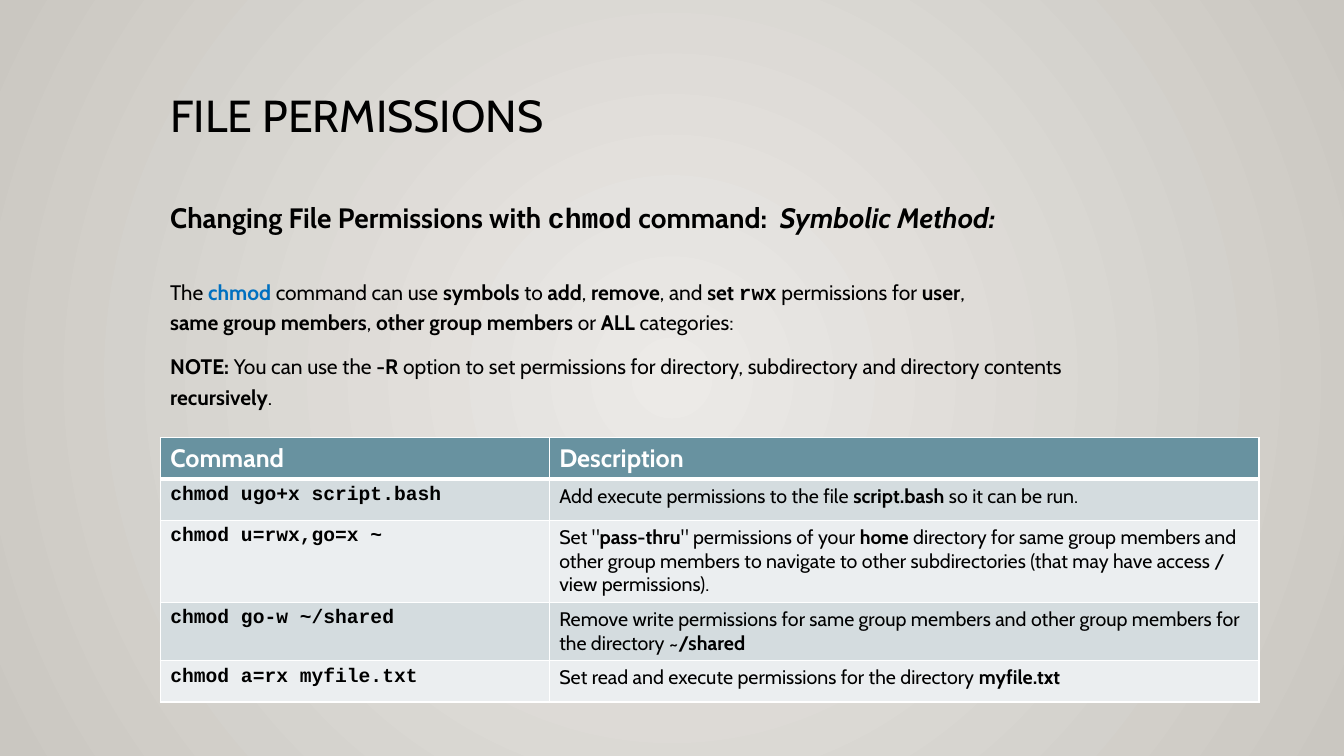
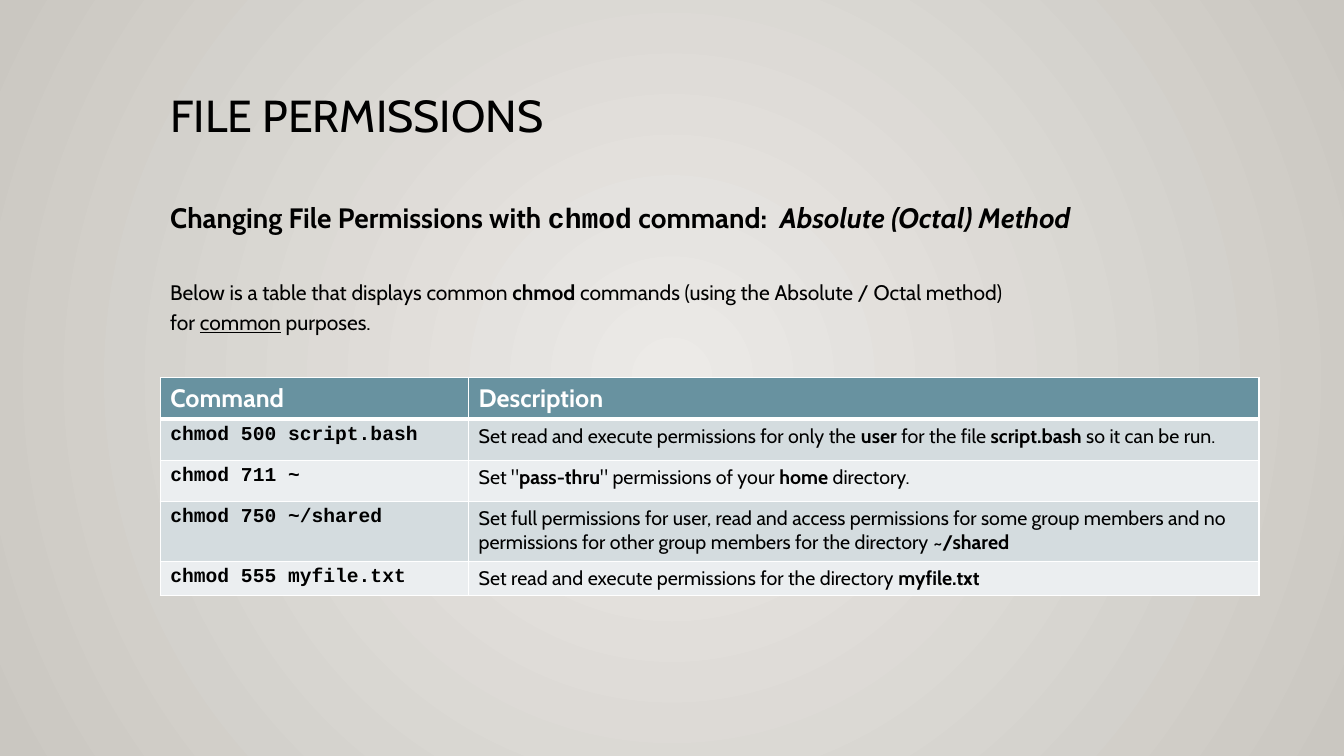
from lxml import etree
from pptx import Presentation
from pptx.dml.color import RGBColor
from pptx.enum.text import MSO_ANCHOR
from pptx.oxml.ns import qn
from pptx.util import Cm, Pt

TOP = MSO_ANCHOR.TOP
BODY_FONT, CODE_FONT = "Cabin", "Courier New"
COLORS = {
    "center": "ECEAE7",
    "edge": "CAC7C1",
    "text": "000000",
    "command": "0070C0",
    "header": "6892A0",
    "odd_row": "D4DCDF",
    "even_row": "EBEEF0",
    "white": "FFFFFF",
}
BLANK_LAYOUT = 6
LEFT = 4.04
TITLE_BOX = (LEFT, 2.24, 26.67, 2.92)
BODY_BOX = (LEFT, 4.75, 25.37, 13.21)
TABLE_WIDTH = 27.69
HEADER_HEIGHT = 1.04


def rgb(name):
    return RGBColor.from_string(COLORS[name])


def bold(text, **style):
    return text, {"bold": True, **style}


def write(paragraph, pieces, line_spacing=None, space_before=None, **base):
    """Fill a paragraph with strings or (text, style) pairs; a newline breaks the line."""
    if line_spacing:
        paragraph.line_spacing = line_spacing
    if space_before:
        paragraph.space_before = Pt(space_before)
    for piece in [pieces] if isinstance(pieces, str) else pieces:
        text, style = (piece, {}) if isinstance(piece, str) else piece
        style = {**base, **style}
        for index, line in enumerate(text.split("\n")):
            if index:
                paragraph.add_line_break()
            if line:
                run = paragraph.add_run()
                run.text = line
                font = run.font
                font.name = style.get("font", BODY_FONT)
                font.size = Pt(style["size"])
                font.bold = style.get("bold", False)
                font.italic = style.get("italic", False)
                font.underline = style.get("underline", False)
                font.color.rgb = rgb(style.get("color", "text"))


def add_text_frame(slide, box):
    frame = slide.shapes.add_textbox(*map(Cm, box)).text_frame
    frame.word_wrap = True
    frame.vertical_anchor = TOP
    return frame


def paint_background(master):
    """Give the master a radial gradient, which every slide inherits."""
    fill = master.background.fill
    fill.gradient()
    for stop, name, position in zip(fill.gradient_stops, ("center", "edge"), (0, 1)):
        stop.color.rgb = rgb(name)
        stop.position = position
    gradient = next(master.element.iter(qn("a:gradFill")))
    gradient.remove(gradient.find(qn("a:lin")))
    radial = etree.SubElement(gradient, qn("a:path"), {"path": "circle"})
    etree.SubElement(radial, qn("a:fillToRect"), dict.fromkeys("ltrb", "50000"))


def add_title(slide, box):
    frame = add_text_frame(slide, box)
    write(frame.paragraphs[0], "FILE PERMISSIONS", size=32, line_spacing=0.9)


def add_body(slide, box, method, paragraphs):
    frame = add_text_frame(slide, box)
    heading = [
        "Changing File Permissions with ",
        bold("chmod", font=CODE_FONT),
        " command:  ",
        bold(method, italic=True),
    ]
    write(frame.paragraphs[0], heading, size=20, bold=True, line_spacing=1.2)
    for index, pieces in enumerate(paragraphs):
        write(frame.add_paragraph(), pieces, size=15, line_spacing=1.2,
              space_before=10 if index else 29)


def style_cell(cell, fill, top, bottom):
    """Set the fill and white borders; top and bottom are line widths in points."""
    properties = cell._tc.get_or_add_tcPr()
    for side, width in (("L", 1), ("R", 1), ("T", top), ("B", bottom)):
        line = etree.SubElement(properties, qn(f"a:ln{side}"), {"w": str(Pt(width))})
        solid = etree.SubElement(line, qn("a:solidFill"))
        etree.SubElement(solid, qn("a:srgbClr"), {"val": COLORS["white"]})
    cell.fill.solid()
    cell.fill.fore_color.rgb = rgb(fill)


def add_command_table(slide, top, command_width, commands):
    """Add a table of (row height, command, description) entries."""
    heights = [HEADER_HEIGHT] + [height for height, _, _ in commands]
    box = (LEFT, top, TABLE_WIDTH, sum(heights))
    table = slide.shapes.add_table(len(heights), 2, *map(Cm, box)).table
    table.horz_banding = False
    table.columns[0].width = Cm(command_width)
    table.columns[1].width = Cm(TABLE_WIDTH - command_width)
    for row, height in zip(table.rows, heights):
        row.height = Cm(height)

    for cell, label in zip(table.rows[0].cells, ("Command", "Description")):
        style_cell(cell, "header", top=1, bottom=3)
        write(cell.text_frame.paragraphs[0], label, size=18, bold=True, color="white")
    for number, (_, command, description) in enumerate(commands, 1):
        command_cell, description_cell = table.rows[number].cells
        for cell in (command_cell, description_cell):
            style_cell(cell, "odd_row" if number % 2 else "even_row",
                       top=3 if number == 1 else 1, bottom=1)
        write(command_cell.text_frame.paragraphs[0], command,
              size=14, bold=True, font=CODE_FONT)
        write(description_cell.text_frame.paragraphs[0], description, size=14)


def add_method_slide(prs, method, paragraphs, table_top, command_width, commands):
    slide = prs.slides.add_slide(prs.slide_layouts[BLANK_LAYOUT])
    add_title(slide, TITLE_BOX)
    add_body(slide, BODY_BOX, method, paragraphs)
    add_command_table(slide, table_top, command_width, commands)


READ_EXECUTE = ["Set read and execute permissions for the directory ", bold("myfile.txt")]

SYMBOLIC = {
    "method": "Symbolic Method:",
    "paragraphs": [
        ["The ", bold("chmod", color="command"), " command can use ", bold("symbols"),
         " to ", bold("add"), ", ", bold("remove"), ", and ", bold("set "),
         bold("rwx", font=CODE_FONT), " permissions for ", bold("user"), ",\n",
         bold("same group members"), ", ", bold("other group members "), "or ",
         bold("ALL"), " categories:"],
        [bold("NOTE:"), " You can use the ", bold("-R"),
         " option to set permissions for directory, subdirectory and directory contents ",
         bold("recursively"), "."],
    ],
    "table_top": 11.03,
    "command_width": 9.8,
    "commands": [
        (1.04, "chmod ugo+x script.bash",
         ["Add execute permissions to the file ", bold("script.bash"),
          " so it can be run."]),
        (2.07, "chmod u=rwx,go=x ~",
         ['Set "', bold("pass-thru"), '" permissions of your ', bold("home"),
          " directory for same group members and other group members to navigate to "
          "other subdirectories (that may have access / view permissions)."]),
        (1.47, "chmod go-w ~/shared",
         ["Remove write permissions for same group members and other group members "
          "for the directory ", bold("~/shared")]),
        (1.04, "chmod a=rx myfile.txt", READ_EXECUTE),
    ],
}

OCTAL = {
    "method": "Absolute (Octal) Method",
    "paragraphs": [
        ["Below is a table that displays common ", bold("chmod"),
         " commands (using the Absolute / Octal method)\nfor ",
         ("common", {"underline": True}), " purposes."],
    ],
    "table_top": 9.52,
    "command_width": 7.77,
    "commands": [
        (1.04, "chmod 500 script.bash",
         ["Set read and execute permissions for only the ", bold("user"),
          " for the file ", bold("script.bash"), " so it can be run."]),
        (1.04, "chmod 711 ~",
         ['Set "', bold("pass-thru"), '" permissions of your ', bold("home"),
          " directory."]),
        (1.5, "chmod 750 ~/shared",
         ["Set full permissions for user, read and access permissions for some group "
          "members and no permissions for other group members for the directory ",
          bold("~/shared")]),
        (0.86, "chmod 555 myfile.txt", READ_EXECUTE),
    ],
}


def main():
    prs = Presentation()
    prs.slide_width, prs.slide_height = Cm(33.87), Cm(19.05)
    paint_background(prs.slide_master)
    for content in (SYMBOLIC, OCTAL):
        add_method_slide(prs, **content)
    prs.save("out.pptx")


if __name__ == "__main__":
    main()
